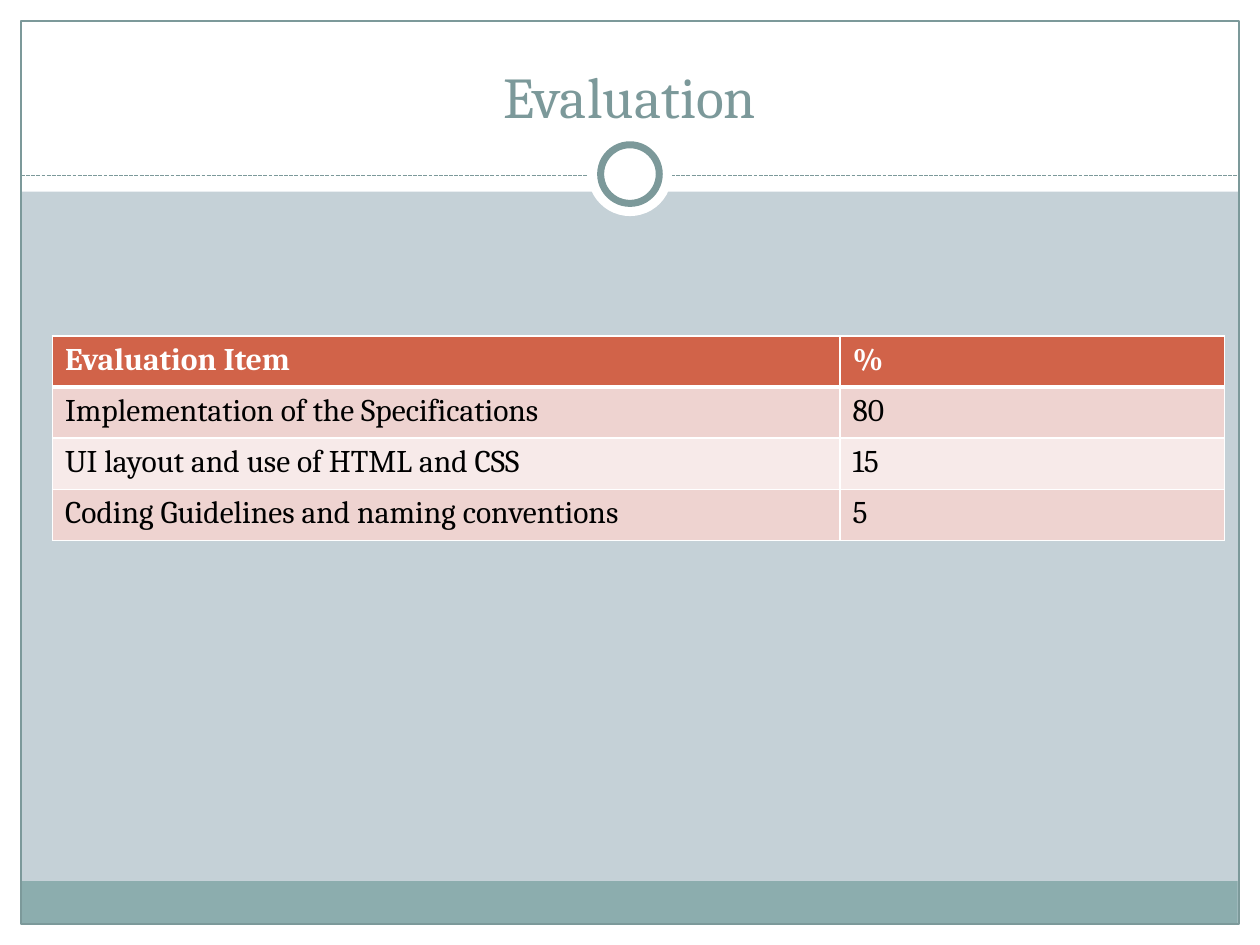
from lxml import etree
from pptx import Presentation
from pptx.dml.color import RGBColor
from pptx.enum.dml import MSO_LINE
from pptx.enum.shapes import MSO_CONNECTOR, MSO_SHAPE
from pptx.enum.text import MSO_ANCHOR, PP_ALIGN
from pptx.oxml.ns import qn
from pptx.util import Pt

RECT, OVAL = MSO_SHAPE.RECTANGLE, MSO_SHAPE.OVAL
STRAIGHT, DASH = MSO_CONNECTOR.STRAIGHT, MSO_LINE.SQUARE_DOT
BOTTOM, CENTER = MSO_ANCHOR.BOTTOM, PP_ALIGN.CENTER
FONT = "Cambria"
HUES = {
    "back": "C5D1D7", "white": "FFFFFF", "black": "000000", "band": "8CADAE",
    "teal": "7C999A", "head": "D16349", "odd": "EED3D0", "even": "F7EAE9",
}
ROWS = [
    ("Evaluation Item", "%"),
    ("Implementation of the Specifications", "80"),
    ("UI layout and use of HTML and CSS", "15"),
    ("Coding Guidelines and naming conventions", "5"),
]


def hue(name):
    return RGBColor.from_string(HUES[name])


class Deck:
    """Holds the style and the current slide, and draws each kind of element."""

    def __init__(self):
        self.show = Presentation()
        self.show.slide_width, self.show.slide_height = Pt(720), Pt(540)
        self.slide = self.show.slides.add_slide(self.show.slide_layouts[6])
        self.shapes = self.slide.shapes
        back = self.slide.background.fill
        back.solid()
        back.fore_color.rgb = hue("back")

    def shape(self, kind, box, fill=None, line=None, width=0.75):
        item = self.shapes.add_shape(kind, *map(Pt, box))
        item.shadow.inherit = False
        if fill:
            item.fill.solid()
            item.fill.fore_color.rgb = hue(fill)
        else:
            item.fill.background()
        if line:
            item.line.color.rgb = hue(line)
            item.line.width = Pt(width)
        else:
            item.line.fill.background()

    def rule(self, left, right, top):
        item = self.shapes.add_connector(STRAIGHT, Pt(left), Pt(top), Pt(right), Pt(top))
        item.line.color.rgb = hue("teal")
        item.line.width = Pt(0.75)
        item.line.dash_style = DASH
        etree.SubElement(item._element.spPr, qn("a:effectLst"))

    def text(self, para, words, size, color, bold=False):
        run = para.add_run()
        run.text = words
        font = run.font
        font.name, font.size, font.bold = FONT, Pt(size), bold
        font.color.rgb = hue(color)

    def title(self, box, words):
        frame = self.shapes.add_textbox(*map(Pt, box)).text_frame
        frame.word_wrap = True
        frame.vertical_anchor = BOTTOM
        para = frame.paragraphs[0]
        para.alignment = CENTER
        self.text(para, words, 33, "teal")

    def edge(self, cell, side, width):
        line = etree.SubElement(cell._tc.get_or_add_tcPr(), qn("a:ln" + side), w=str(Pt(width)))
        fill = etree.SubElement(line, qn("a:solidFill"))
        etree.SubElement(fill, qn("a:srgbClr"), val=HUES["white"])

    def table(self, left, top, widths, height, rows):
        size = len(rows), len(widths)
        box = left, top, sum(widths), height * len(rows)
        grid = self.shapes.add_table(*size, *map(Pt, box)).table
        for col, width in zip(grid.columns, widths):
            col.width = Pt(width)
        for i, row in enumerate(rows):
            grid.rows[i].height = Pt(height)
            head = i == 0
            fill = "head" if head else "odd" if i % 2 else "even"
            for j, words in enumerate(row):
                cell = grid.cell(i, j)
                for side in "LRTB":
                    thick = (head and side == "B") or (i == 1 and side == "T")
                    self.edge(cell, side, 3 if thick else 1)
                cell.fill.solid()
                cell.fill.fore_color.rgb = hue(fill)
                color = "white" if head else "black"
                self.text(cell.text_frame.paragraphs[0], words, 18, color, head)


def main():
    deck = Deck()
    for box in [(0, 528, 720, 12), (0, 0, 720, 109.5), (0, 0, 12, 540), (708, 0, 12, 540)]:
        deck.shape(RECT, box, "white")
    deck.shape(RECT, (11.75, 503.5, 695.5, 24.5), "band")
    deck.shape(RECT, (12, 12, 696, 516), line="teal")
    deck.rule(12, 708, 100.5)
    deck.shape(OVAL, (336, 75.5, 48, 48), "white")
    deck.shape(OVAL, (343.25, 82.75, 33.5, 33.5), "white", "teal", 4)
    deck.title((24, 18, 672, 60), "Evaluation")
    deck.table(30, 192, (450, 219.6), 29.2, ROWS)
    deck.show.save("out.pptx")


if __name__ == "__main__":
    main()
